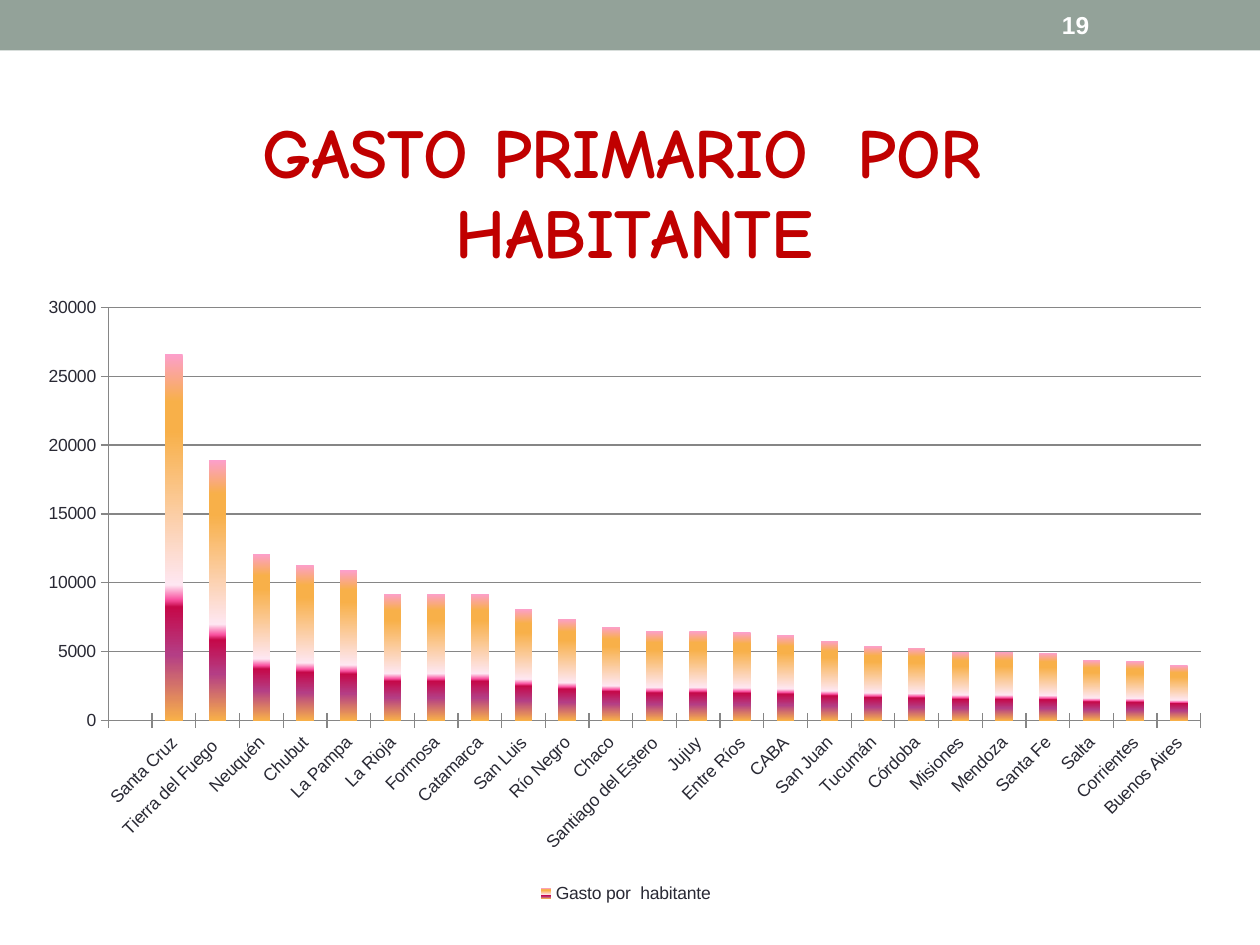
"""Build the slide on primary spending per inhabitant by province."""
import copy

import pptx
import pptx.chart.data
import pptx.dml.color
import pptx.enum.chart
import pptx.enum.shapes
import pptx.enum.text
import pptx.oxml
import pptx.oxml.ns
import pptx.util
from pptx.util import Inches

TITLE = "GASTO PRIMARIO  POR  HABITANTE"
SERIES_NAME = "Gasto por  habitante"
PAGE_NUMBER = "19"
SPENDING = [
    ("", None), ("Santa Cruz", 26600), ("Tierra del Fuego ", 18900),
    ("Neuquén", 12100), ("Chubut", 11300), ("La Pampa", 10900),
    ("La Rioja", 9200), ("Formosa", 9200), ("Catamarca", 9200),
    ("San Luis", 8100), ("Río Negro", 7400), ("Chaco", 6800),
    ("Santiago del Estero", 6500), ("Jujuy", 6500), ("Entre Ríos", 6400),
    ("CABA", 6200), ("San Juan", 5800), ("Tucumán", 5400),
    ("Córdoba", 5300), ("Misiones", 5000), ("Mendoza", 5000),
    ("Santa Fe", 4900), ("Salta", 4400), ("Corrientes", 4300),
    ("Buenos Aires", 4000),
]
BAR_GRADIENT = [
    (0, "FC9FCB"), (13, "F8B049"), (21, "F8B049"), (63, "FEE7F2"),
    (67, "F952A0"), (69, "C50849"), (82, "B43E85"), (100, "F8B049"),
]
CHART_BOX = (0.2, 0.44, 9.53, 6.77)
PLOT_BOX = (0.86, 2.44, 8.67, 3.28)
TITLE_CORNER = (1.98, 0.75)


def color(hex_code):
    return pptx.dml.color.RGBColor.from_string(hex_code)


def format_font(font, size, hex_code, name="Arial", bold=False):
    font.size = pptx.util.Pt(size)
    font.name = name
    font.bold = bold
    font.color.rgb = color(hex_code)


def layout_element(box, inner=False):
    left, top, width, height = CHART_BOX
    fractions = [(box[0] - left) / width, (box[1] - top) / height]
    fractions += [length / whole for length, whole in zip(box[2:], (width, height))]
    target = '<c:layoutTarget val="inner"/>' if inner else ""
    modes = '<c:xMode val="edge"/><c:yMode val="edge"/>'
    values = "".join(
        f'<c:{key} val="{value:.4f}"/>' for key, value in zip("xywh", fractions)
    )
    return pptx.oxml.parse_xml(
        f'<c:layout {pptx.oxml.ns.nsdecls("c")}><c:manualLayout>'
        f"{target}{modes}{values}</c:manualLayout></c:layout>"
    )


def place(parent, layout, index):
    for old in parent.findall(pptx.oxml.ns.qn("c:layout")):
        parent.remove(old)
    parent.insert(index, layout)


def fill_bars(fill):
    fill.gradient()
    fill.gradient_angle = 270
    stop_list = fill._fill._gradFill.find(pptx.oxml.ns.qn("a:gsLst"))
    template = stop_list[0]
    for stop in list(stop_list):
        stop_list.remove(stop)
    for _ in BAR_GRADIENT:
        stop_list.append(copy.deepcopy(template))
    for stop, (percent, hex_code) in zip(fill.gradient_stops, BAR_GRADIENT):
        stop.position = percent / 100
        stop.color.rgb = color(hex_code)


def format_axis(axis):
    axis.major_tick_mark = pptx.enum.chart.XL_TICK_MARK.CROSS
    axis.format.line.color.rgb = color("868686")
    format_font(axis.tick_labels.font, 10, "292934")


def add_spending_chart(slide):
    data = pptx.chart.data.CategoryChartData()
    data.categories = [province for province, _ in SPENDING]
    data.add_series(SERIES_NAME, [value for _, value in SPENDING])
    chart = slide.shapes.add_chart(
        pptx.enum.chart.XL_CHART_TYPE.COLUMN_CLUSTERED, *map(Inches, CHART_BOX), data
    ).chart
    format_font(chart.font, 10, "292934")

    chart.has_title = True
    run = chart.chart_title.text_frame.paragraphs[0].add_run()
    run.text = TITLE
    format_font(run.font, 40, "C00000", "Comic Neue", True)
    chart.chart_title.include_in_layout = False
    place(chart.chart_title._element, layout_element(TITLE_CORNER), 1)

    chart.has_legend = True
    chart.legend.position = pptx.enum.chart.XL_LEGEND_POSITION.BOTTOM
    chart.legend.include_in_layout = False
    format_font(chart.legend.font, 10, "292934")

    plot = chart.plots[0]
    plot.gap_width = 150
    plot.vary_by_categories = False
    fill_bars(plot.series[0].format.fill)

    format_axis(chart.category_axis)
    properties = chart.category_axis._element.find(pptx.oxml.ns.qn("c:txPr"))
    properties.find(pptx.oxml.ns.qn("a:bodyPr")).set("rot", "-2700000")
    value_axis = chart.value_axis
    format_axis(value_axis)
    value_axis.minimum_scale = 0
    value_axis.maximum_scale = 30000
    value_axis.major_unit = 5000
    value_axis.tick_labels.number_format = "0"
    value_axis.tick_labels.number_format_is_linked = False
    value_axis.major_gridlines.format.line.color.rgb = color("868686")
    plot_area = chart._chartSpace.chart.plotArea
    place(plot_area, layout_element(PLOT_BOX, inner=True), 0)


def add_header(slide):
    band = slide.shapes.add_shape(
        pptx.enum.shapes.MSO_SHAPE.RECTANGLE, 0, 0, Inches(10), Inches(0.4)
    )
    band.shadow.inherit = False
    band.fill.solid()
    band.fill.fore_color.rgb = color("93A299")
    band.line.fill.background()


def add_page_number(slide):
    box = slide.shapes.add_textbox(*map(Inches, (8.33, 0.02, 1.17, 0.36)))
    box.text_frame.word_wrap = True
    box.text_frame.vertical_anchor = pptx.enum.text.MSO_ANCHOR.MIDDLE
    run = box.text_frame.paragraphs[0].add_run()
    run.text = PAGE_NUMBER
    format_font(run.font, 14, "FFFFFF", bold=True)


def main():
    presentation = pptx.Presentation()
    presentation.slide_width = Inches(10)
    presentation.slide_height = Inches(7.5)
    slide = presentation.slides.add_slide(presentation.slide_layouts[6])
    add_header(slide)
    add_spending_chart(slide)
    add_page_number(slide)
    presentation.save("out.pptx")


if __name__ == "__main__":
    main()
